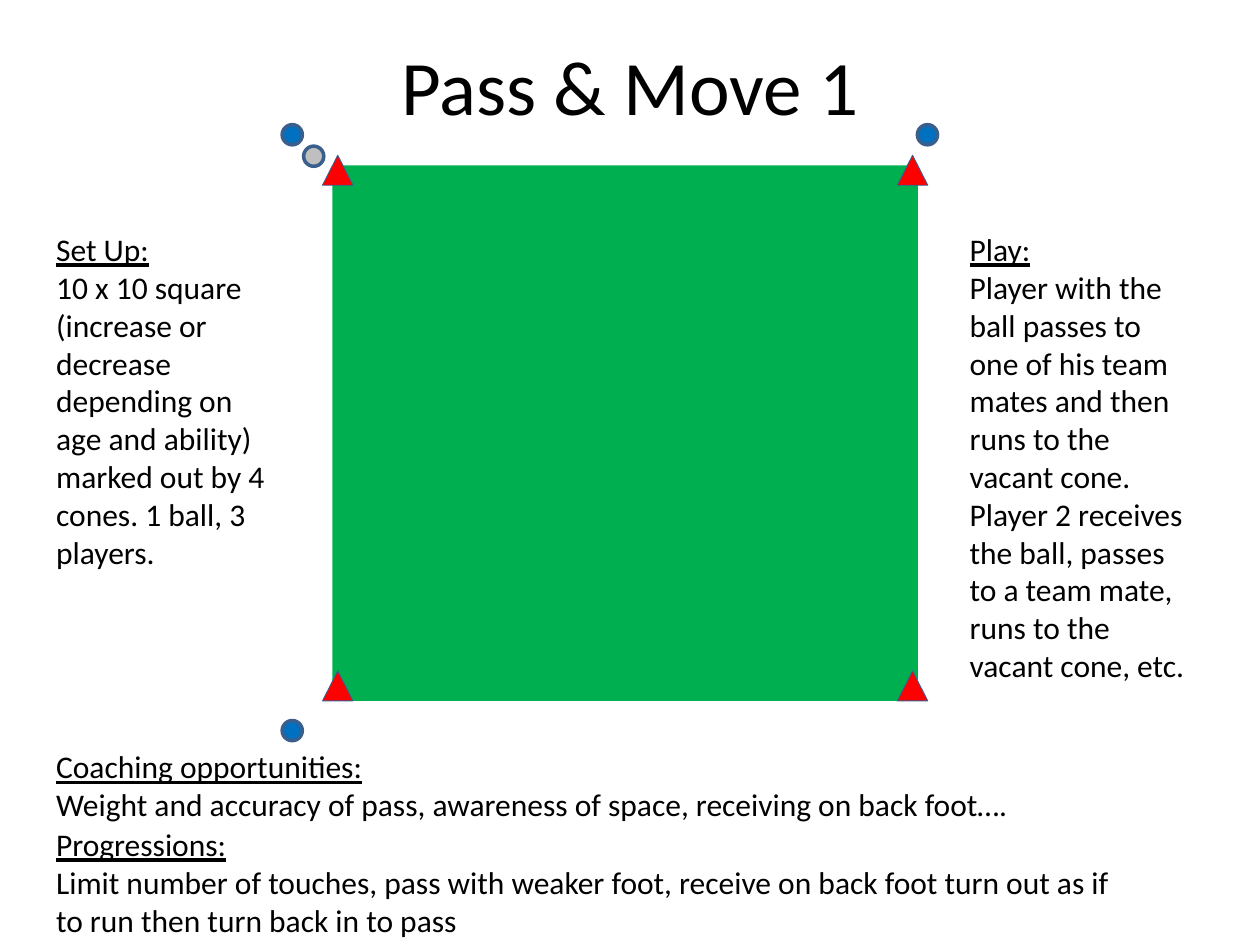
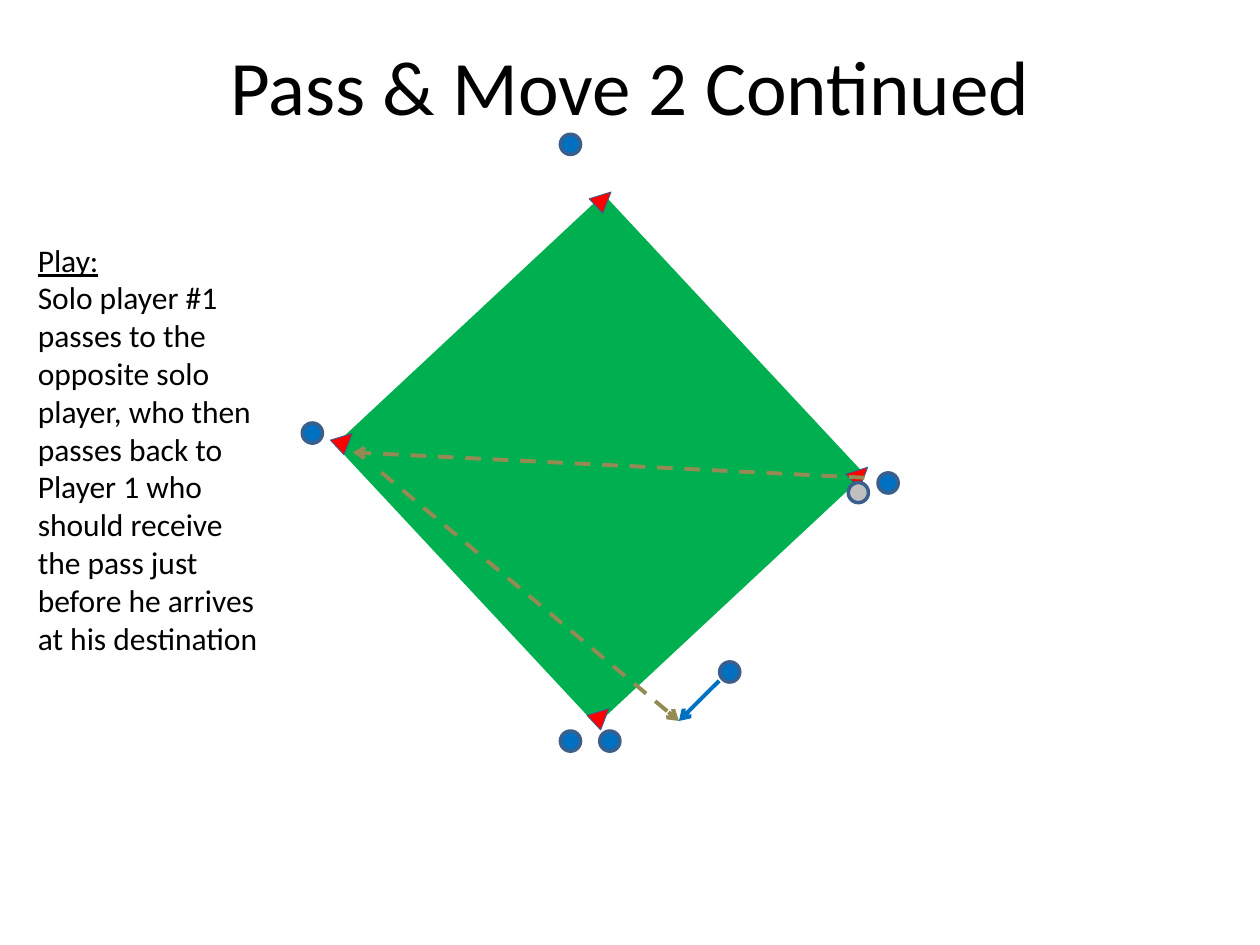
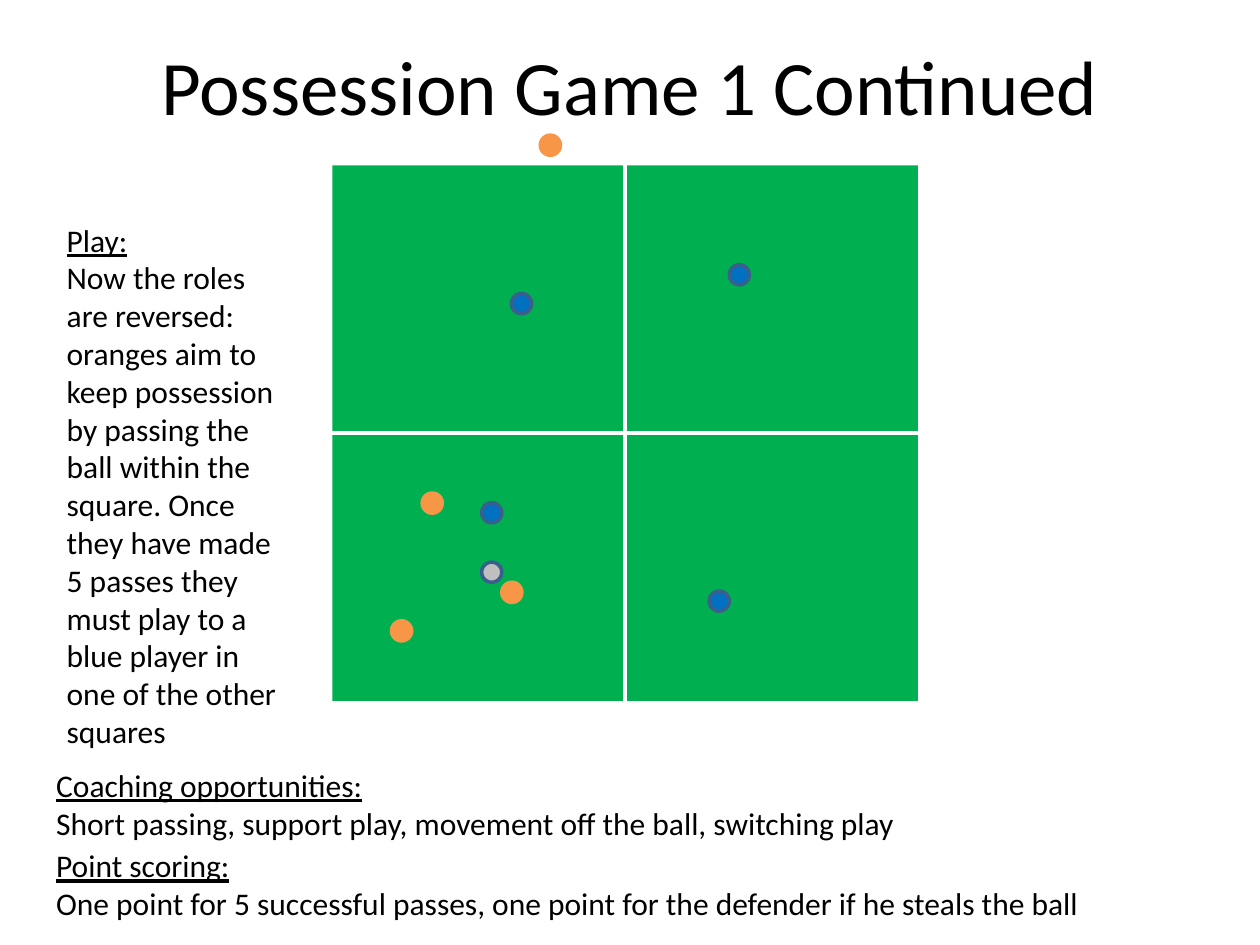
"""Builds three football drill slides: title, pitch diagram and coaching notes."""
from dataclasses import dataclass
from math import cos, radians, sin

from lxml import etree
from pptx import Presentation
from pptx.dml.color import RGBColor
from pptx.enum import dml, shapes, text
from pptx.oxml import ns
from pptx.util import Pt


@dataclass(frozen=True)
class Theme:
    """Colours, font and sizes (points) shared by the slides."""
    font: str = "Calibri"
    title_size: float = 44
    body_size: float = 18
    ink: str = "000000"
    grass: str = "00B050"
    cone: str = "FF0000"
    blue: str = "0070C0"
    orange: str = "F79646"
    ball: str = "BFBFBF"
    outline: str = "3A5F8C"
    passing: str = "948A54"
    marking: str = "FFFFFF"
    dot: float = 11.5
    stroke: float = 2.25


THEME = Theme()
TITLE_BOX = (36, 3.6, 648, 90)
FIELD = (190, 94.5, 334.5, 306)   # diagram area on every slide
DIAMOND = (233.3, 157.7, 219, 210)
DIAMOND_ANGLE = 47


def rgb(colour):
    return RGBColor.from_string(colour)


def lengths(box):
    return [Pt(value) for value in box]


def write(paragraph, wording, size=THEME.body_size, colour=THEME.ink,
          underline=False, align=text.PP_ALIGN.LEFT):
    """Put formatted wording into a paragraph."""
    paragraph.alignment = align
    run = paragraph.add_run()
    run.text = wording
    run.font.name = THEME.font
    run.font.size = Pt(size)
    run.font.underline = underline
    run.font.color.rgb = rgb(colour)


def titled_slide(deck, wording):
    """Add a title-only slide and format its title."""
    slide = deck.slides.add_slide(deck.slide_layouts[5])
    title = slide.shapes.title
    title.left, title.top, title.width, title.height = lengths(TITLE_BOX)
    title.text_frame.vertical_anchor = text.MSO_ANCHOR.MIDDLE
    write(title.text_frame.paragraphs[0], wording, size=THEME.title_size,
          align=text.PP_ALIGN.CENTER)
    return slide


def note(slide, box, heading, body):
    """Place an underlined heading with its explanation below."""
    frame = slide.shapes.add_textbox(*lengths(box)).text_frame
    frame.word_wrap = True
    frame.auto_size = text.MSO_AUTO_SIZE.SHAPE_TO_FIT_TEXT
    write(frame.paragraphs[0], heading, underline=True)
    write(frame.add_paragraph(), body)


def figure(canvas, preset, centre, size, fill, line=None, weight=0.5, angle=0):
    """Draw a preset shape around its centre."""
    (x, y), (width, height) = centre, size
    item = canvas.add_shape(
        preset, *lengths((x - width / 2, y - height / 2, width, height)))
    item.shadow.inherit = False
    item.rotation = angle
    item.fill.solid()
    item.fill.fore_color.rgb = rgb(fill)
    if line:
        item.line.color.rgb = rgb(line)
        item.line.width = Pt(weight)
    else:
        item.line.fill.background()


def pitch(canvas, box, angle=0, cones=True):
    """Draw the grass, turned by angle, with a cone inside each corner."""
    left, top, width, height = box
    middle_x, middle_y = left + width / 2, top + height / 2
    figure(canvas, shapes.MSO_SHAPE.RECTANGLE, (middle_x, middle_y),
           (width, height), THEME.grass, angle=angle)
    if not cones:
        return
    turn = radians(angle)
    cone_size = 0.052 * width, 0.056 * height
    for y in (-0.491 * height, 0.472 * height):
        for x in (-0.491 * width, 0.491 * width):
            centre = (middle_x + x * cos(turn) - y * sin(turn),
                      middle_y + x * sin(turn) + y * cos(turn))
            figure(canvas, shapes.MSO_SHAPE.ISOSCELES_TRIANGLE, centre,
                   cone_size, THEME.cone, THEME.outline, angle=angle)


def dots(slide, box, centres, fill, line=THEME.outline):
    """Mark players or the ball at centres measured from the box corner."""
    for x, y in centres:
        figure(slide.shapes, shapes.MSO_SHAPE.OVAL, (box[0] + x, box[1] + y),
               (THEME.dot, THEME.dot), fill, line, weight=2)


def stroke(slide, box, start, end, colour, dashed=False, arrow=False):
    """Draw a straight line between points measured from the box corner."""
    ends = [Pt(corner + offset)
            for point in (start, end) for corner, offset in zip(box, point)]
    link = slide.shapes.add_connector(shapes.MSO_CONNECTOR.STRAIGHT, *ends)
    link.line.color.rgb = rgb(colour)
    link.line.width = Pt(THEME.stroke)
    if dashed:
        link.line.dash_style = dml.MSO_LINE.DASH
    properties = link._element.spPr
    if arrow:
        outline = properties.find(ns.qn("a:ln"))
        etree.SubElement(outline, ns.qn("a:tailEnd"), type="arrow")
    etree.SubElement(properties, ns.qn("a:effectLst"))


def pass_and_move(deck):
    """Square drill with three players."""
    slide = titled_slide(deck, "Pass & Move 1")
    pitch(slide.shapes, FIELD)
    dots(slide, FIELD, [(-23, -17.5), (-23, 323), (340, -17.5)], THEME.blue)
    dots(slide, FIELD, [(-10.7, -5.2)], THEME.ball)
    note(slide, (25, 128, 142, 204), "Set Up:",
         "10 x 10 square (increase or decrease depending on age and ability) "
         "marked out by 4 cones. 1 ball, 3 players.")
    note(slide, (547, 128, 142, 269), "Play:",
         "Player with the ball passes to one of his team mates and then runs "
         "to the vacant cone. Player 2 receives the ball, passes to a team "
         "mate, runs to the vacant cone, etc.")
    note(slide, (25, 423.5, 629, 51), "Coaching opportunities:",
         "Weight and accuracy of pass, awareness of space, receiving on back "
         "foot….")
    note(slide, (25, 468, 629, 73), "Progressions:",
         "Limit number of touches, pass with weaker foot, receive on back "
         "foot turn out as if to run then turn back in to pass")


def pass_and_move_continued(deck):
    """Diamond drill with passes and a run."""
    slide = titled_slide(deck, "Pass & Move 2 Continued")
    pitch(slide.shapes.add_group_shape().shapes, DIAMOND, DIAMOND_ANGLE)
    dots(slide, FIELD, [(136, -12), (-11.5, 153), (317.5, 181.5),
                        (227, 289.5), (136, 329), (158.5, 329)], THEME.blue)
    dots(slide, FIELD, [(300.5, 187)], THEME.ball)
    note(slide, (14.5, 134, 142, 247), "Play:",
         "Solo player #1 passes to the opposite solo player, who then passes "
         "back to Player 1 who should receive the pass just before he arrives "
         "at his destination")
    meeting = (198, 317.5)
    stroke(slide, FIELD, (304, 178.5), (11.5, 164), THEME.passing,
           dashed=True, arrow=True)
    stroke(slide, FIELD, (28, 175.5), meeting, THEME.passing,
           dashed=True, arrow=True)
    stroke(slide, FIELD, (221, 294.5), meeting, THEME.blue, arrow=True)


def possession_game(deck):
    """Four-square possession game."""
    slide = titled_slide(deck, "Possession Game 1 Continued")
    pitch(slide.shapes, FIELD, cones=False)
    width, height = FIELD[2:]
    stroke(slide, FIELD, (width / 2, 0), (width / 2, height), THEME.marking)
    stroke(slide, FIELD, (0, height / 2), (width, height / 2), THEME.marking)
    dots(slide, FIELD, [(232.5, 62.5), (221, 249), (108, 79), (91, 198.5)],
         THEME.blue)
    dots(slide, FIELD, [(91, 232.5)], THEME.ball)
    dots(slide, FIELD, [(124.5, -11.5), (102.5, 244), (57, 193), (39.5, 266)],
         THEME.orange, line=THEME.orange)
    note(slide, (31, 122.5, 142, 312.5), "Play:",
         "Now the roles are reversed: oranges aim to keep possession by "
         "passing the ball within the square. Once they have made 5 passes "
         "they must play to a blue player in one of the other squares")
    note(slide, (25, 434, 516, 51), "Coaching opportunities:",
         "Short passing, support play, movement off the ball, switching play")
    note(slide, (25, 480, 695, 51), "Point scoring:",
         "One point for 5 successful passes, one point for the defender if he "
         "steals the ball")


deck = Presentation()
deck.slide_width, deck.slide_height = Pt(720), Pt(540)
for build in (pass_and_move, pass_and_move_continued, possession_game):
    build(deck)
deck.save("out.pptx")
